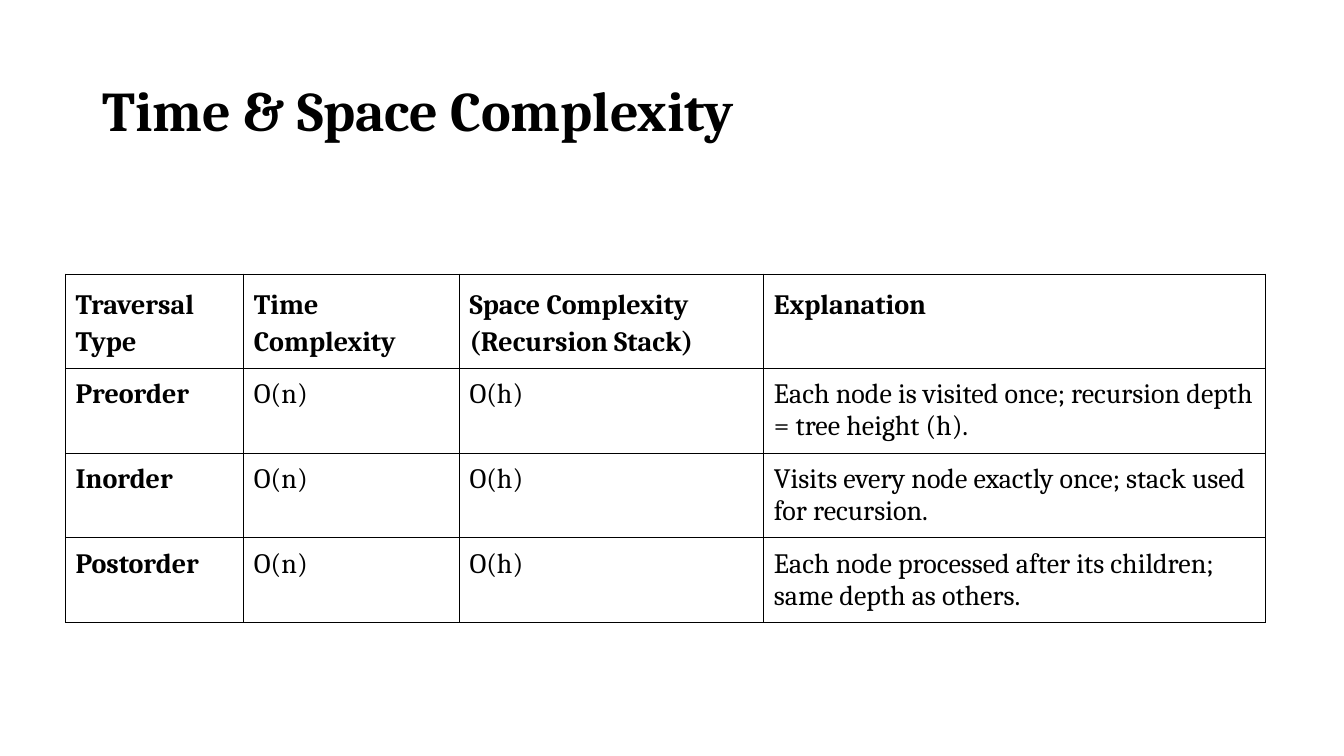
from lxml.etree import SubElement
from pptx import Presentation
from pptx.dml.color import RGBColor
from pptx.enum.text import MSO_ANCHOR, PP_ALIGN
from pptx.oxml.ns import qn
from pptx.util import Pt

TITLE = "Time & Space Complexity"
HEADERS = [
    "Traversal Type",
    "Time Complexity",
    "Space Complexity (Recursion Stack)",
    "Explanation",
]
TRAVERSALS = [
    ("Preorder", "O(n)", "O(h)", "Each node is visited once; recursion depth = tree height (h)."),
    ("Inorder", "O(n)", "O(h)", "Visits every node exactly once; stack used for recursion."),
    ("Postorder", "O(n)", "O(h)", "Each node processed after its children; same depth as others."),
]
COLUMN_WIDTHS = [127.4, 154, 217.5, 358]
HEADER_HEIGHT, BODY_HEIGHT = 67, 60.4
TABLE_LEFT, TABLE_TOP = 46.8, 195.8
CELL_MARGIN = 7.2
BORDER_WIDTH = 0.75
FONT = "Cambria"
INK = "000000"


def color(hex_value):
    return RGBColor.from_string(hex_value)


def style_text(paragraph, size, bold, line_spacing):
    paragraph.font.name = FONT
    paragraph.font.size = Pt(size)
    paragraph.font.bold = bold
    paragraph.font.color.rgb = color(INK)
    paragraph.alignment = PP_ALIGN.LEFT
    paragraph.line_spacing = line_spacing


def add_borders(cell):
    properties = cell._tc.get_or_add_tcPr()
    for side in ("a:lnL", "a:lnR", "a:lnT", "a:lnB"):
        line = SubElement(properties, qn(side), w=str(Pt(BORDER_WIDTH)))
        fill = SubElement(line, qn("a:solidFill"))
        SubElement(fill, qn("a:srgbClr"), val=INK)


def add_title(slide):
    title = slide.shapes.title
    title.left, title.top, title.width, title.height = Pt(66), Pt(28.8), Pt(828), Pt(104.4)
    title.text_frame.text = TITLE
    title.text_frame.vertical_anchor = MSO_ANCHOR.MIDDLE
    style_text(title.text_frame.paragraphs[0], 40, True, 0.9)


def add_complexity_table(slide):
    rows = [HEADERS, *TRAVERSALS]
    heights = [HEADER_HEIGHT] + [BODY_HEIGHT] * len(TRAVERSALS)
    table = slide.shapes.add_table(
        len(rows), len(HEADERS), Pt(TABLE_LEFT), Pt(TABLE_TOP),
        Pt(sum(COLUMN_WIDTHS)), Pt(sum(heights)),
    ).table
    table.first_row = False
    table.horz_banding = False
    for column, width in zip(table.columns, COLUMN_WIDTHS):
        column.width = Pt(width)
    for row_index, (texts, height) in enumerate(zip(rows, heights)):
        table.rows[row_index].height = Pt(height)
        is_header = row_index == 0
        for column_index, text in enumerate(texts):
            cell = table.cell(row_index, column_index)
            cell.text = text
            cell.margin_left = cell.margin_right = Pt(CELL_MARGIN)
            cell.margin_top = cell.margin_bottom = Pt(CELL_MARGIN)
            cell.vertical_anchor = MSO_ANCHOR.TOP
            add_borders(cell)
            cell.fill.background()
            style_text(
                cell.text_frame.paragraphs[0], 20,
                is_header or column_index == 0, 1.15 if is_header else 1.0,
            )


def main():
    presentation = Presentation()
    presentation.slide_width, presentation.slide_height = Pt(960), Pt(540)
    slide = presentation.slides.add_slide(presentation.slide_layouts[5])
    slide.background.fill.solid()
    slide.background.fill.fore_color.rgb = color("FFFFFF")
    add_title(slide)
    add_complexity_table(slide)
    presentation.save("out.pptx")


if __name__ == "__main__":
    main()
